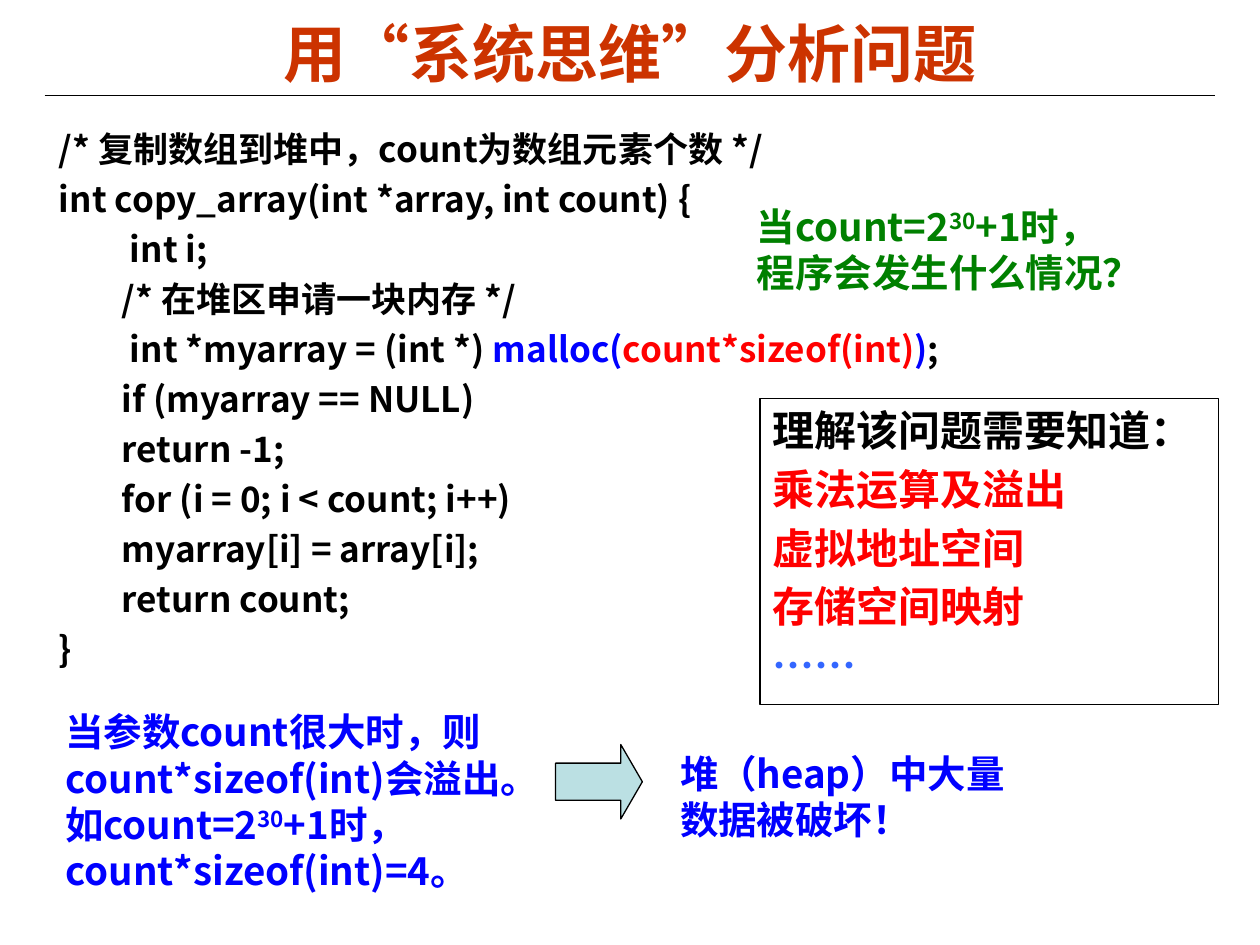
"""Builds a slide on analysing a heap overflow bug with systems thinking."""
from lxml import etree
from pptx import Presentation
from pptx import util as u
from pptx.dml.color import RGBColor
from pptx.enum import shapes, text
from pptx.oxml.ns import qn

BLACK = RGBColor(0, 0, 0)
RUST = RGBColor(0xCC, 0x33, 0)
BLUE = RGBColor(0, 0, 0xFF)
RED = RGBColor(0xFF, 0, 0)
GREEN = RGBColor(0, 0x80, 0)
SKY = RGBColor(0x33, 0x66, 0xFF)
PALE_TEAL = RGBColor(0xBB, 0xE0, 0xE3)
CJK = "Noto Sans CJK SC"


def add_box(left, top, width, height, anchor=text.MSO_ANCHOR.MIDDLE):
    box = page.shapes.add_textbox(u.Cm(left), u.Cm(top), u.Cm(width), u.Cm(height))
    box.text_frame.word_wrap = True
    box.text_frame.vertical_anchor = anchor
    return box


def add_line(frame, index, spans, size, color, face=CJK):
    para = frame.add_paragraph() if index else frame.paragraphs[0]
    para.font.size = u.Pt(size)
    para.font.bold = True
    para.font.name = face
    para.font.color.rgb = color
    for words, change in spans:
        span = para.add_run()
        span.text = words
        if change == "super":
            span._r.get_or_add_rPr().set("baseline", "30000")
        elif isinstance(change, RGBColor):
            span.font.color.rgb = change
        elif change:
            span.font.name = change
    return para


deck = Presentation()
deck.slide_width, deck.slide_height = u.Cm(25.4), u.Cm(19.05)
page = deck.slides.add_slide(deck.slide_layouts[6])

rule = page.shapes.add_connector(
    shapes.MSO_CONNECTOR.STRAIGHT, u.Cm(0.9), u.Cm(1.93), u.Cm(24.5), u.Cm(1.93))
rule.line.color.rgb = BLACK
rule.line.width = u.Pt(0.75)
etree.SubElement(rule._element.spPr, qn("a:effectLst"))

title = add_box(1.27, 0.28, 22.86, 1.55)
heading = add_line(title.text_frame, 0, [
    ("用", None), ("“", CJK), ("系统思维", None), ("”", CJK), ("分析问题", None),
], 36, RUST, "Arial")
heading.alignment = text.PP_ALIGN.CENTER

code = add_box(0.94, 2.31, 22.86, 12.45, text.MSO_ANCHOR.TOP)
code_lines = [
    [("/* 复制数组到堆中，count为数组元素个数 */", None)],
    [("int copy_array(int *array, int count) {", None)],
    [("  \t int i;", None)],
    [(" \t/* 在堆区申请一块内存 */", None)],
    [("  \t int *myarray = (int *) ", None), ("malloc(", BLUE),
     ("count*sizeof(int)", RED), (")", BLUE), (";", None)],
    [("   \tif (myarray == NULL)", None)],
    [("       \treturn -1;", None)],
    [("  \tfor (i = 0; i < count; i++)", None)],
    [("       \tmyarray[i] = array[i];", None)],
    [("   \treturn count;", None)],
    [("}", None)],
]
for index, spans in enumerate(code_lines):
    para = add_line(code.text_frame, index, spans, 20, BLACK)
    para.line_spacing = 1.15
    para.space_before = u.Pt(1 if index else 0)
    para._p.get_or_add_pPr().set("marL", str(u.Cm(1.27)))
    para._p.get_or_add_pPr().set("indent", str(-u.Cm(1.27)))

remarks = [
    (1.07, 14.15, 10.39, 3.99, BLUE, [
        ("当参数count很大时，则count*sizeof(int)会溢出。如count=2", None),
        ("30", "super"), ("+1时， count*sizeof(int)=4。", None)]),
    (13.46, 14.99, 7.37, 2.11, BLUE, [("堆（heap）中大量数据被破坏！", None)]),
    (15.01, 3.96, 8.31, 2.11, GREEN, [
        ("当count=2", None), ("30", "super"), ("+1时， 程序会发生什么情况？", None)]),
]
for left, top, width, height, color, spans in remarks:
    add_line(add_box(left, top, width, height).text_frame, 0, spans, 22, color)

arrow = page.shapes.add_shape(
    shapes.MSO_SHAPE.RIGHT_ARROW, u.Cm(11.2), u.Cm(15.01), u.Cm(1.75), u.Cm(1.5))
arrow.adjustments[0], arrow.adjustments[1] = 0.5, 0.29
arrow.shadow.inherit = False
arrow.fill.solid()
arrow.fill.fore_color.rgb = PALE_TEAL
arrow.line.color.rgb = BLACK
arrow.line.width = u.Pt(0.75)

topics = add_box(15.32, 8.03, 9.25, 6.17, text.MSO_ANCHOR.TOP)
topics.line.color.rgb = BLACK
topics.line.width = u.Pt(0.75)
topic_lines = [
    ("理解该问题需要知道：", BLACK, "Arial"), ("乘法运算及溢出", RED, "Arial"),
    ("虚拟地址空间", RED, "Arial"), ("存储空间映射", RED, "Arial"), ("……", SKY, CJK),
]
for index, (words, color, face) in enumerate(topic_lines):
    para = add_line(topics.text_frame, index, [(words, None)], 24, color, face)
    para.space_before = u.Pt(4.8 if index else 0)

deck.save("out.pptx")
